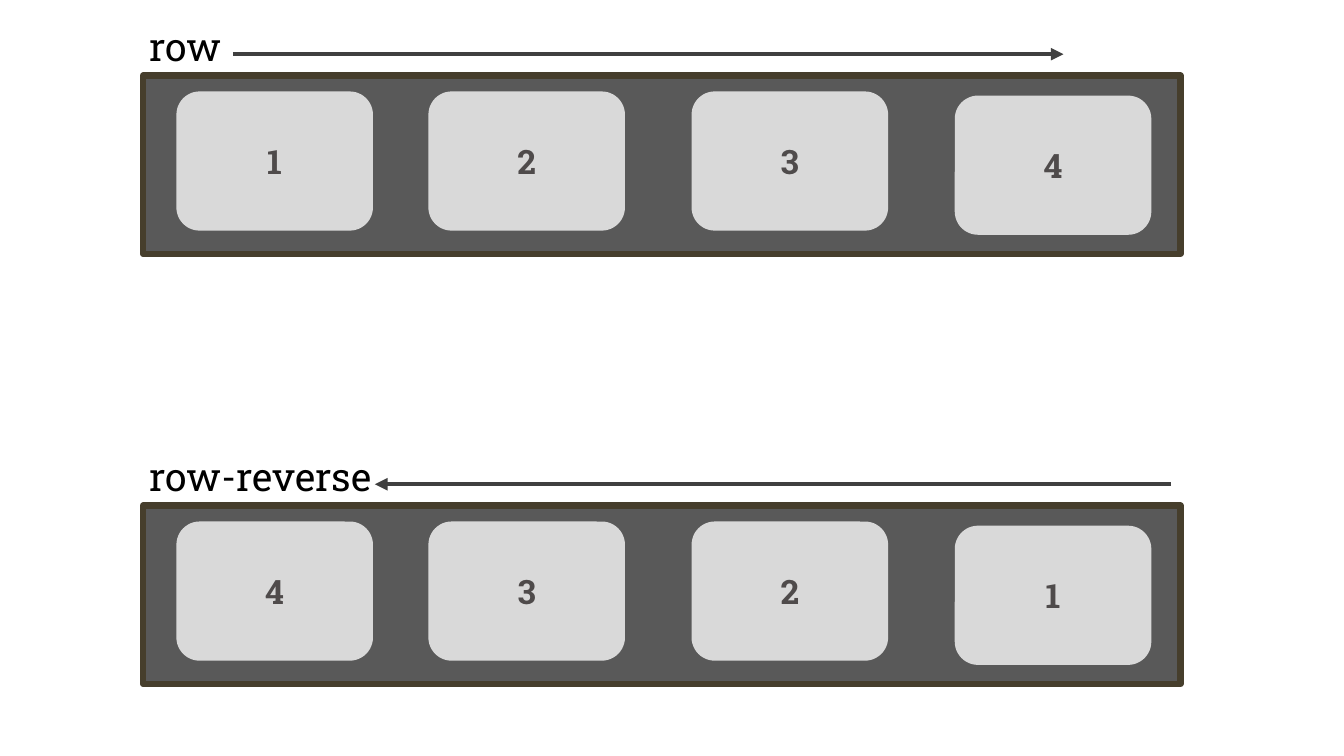
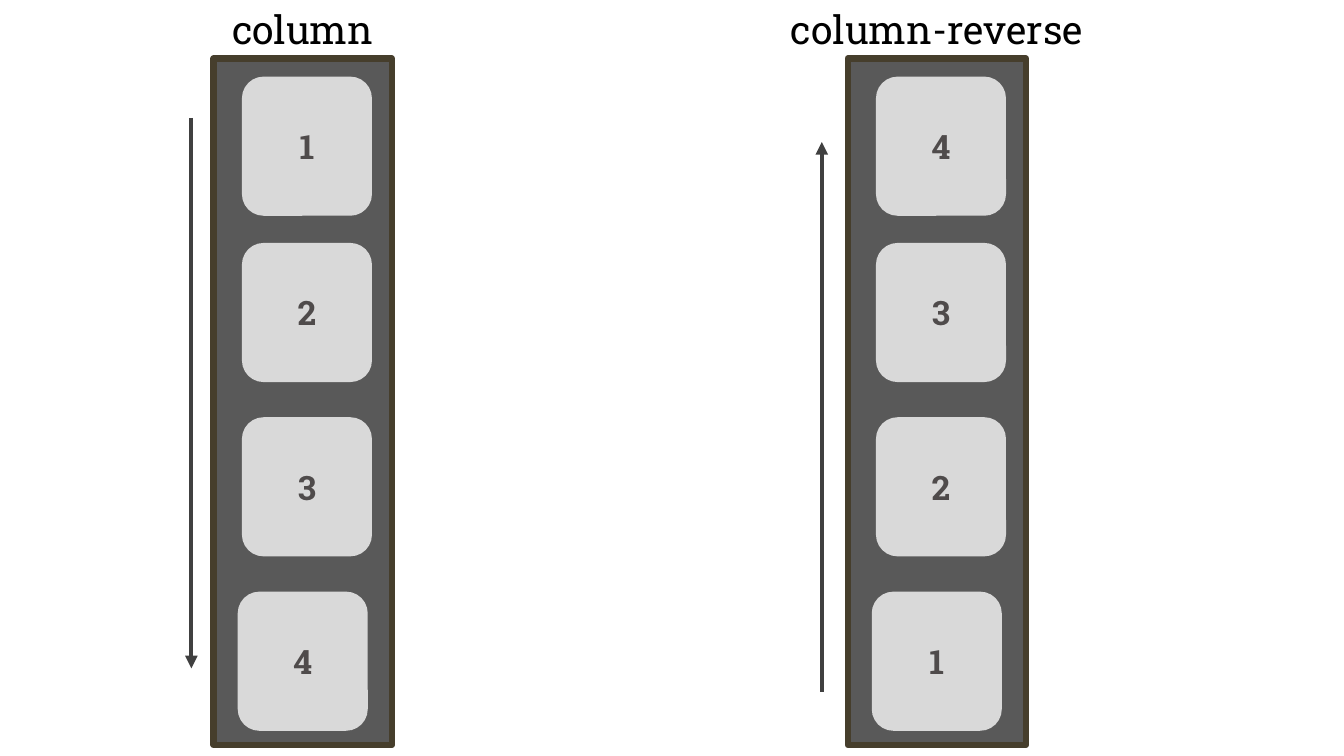
"""Build two slides that show the four flex directions."""
from lxml import etree
from pptx import Presentation
from pptx.dml.color import RGBColor
from pptx.enum import shapes as sh, text as tx
from pptx.oxml.ns import qn
from pptx.util import Pt

FONT = "Roboto Slab"
BAR, EDGE, ITEM, INK, ARROW, BLACK = (
    "595959", "463E2C", "D9D9D9", "4F4B4B", "404040", "000000")
NUM = {"size": Pt(24), "bold": True, "name": FONT}
HEAD = {"size": Pt(28), "name": FONT}
ROW_X = (126, 306, 494, 682)
COL_Y = (54.7, 173.5, 298, 422.6)
NUDGE = (0, 0, 0, 3)


def color(hex):
    return RGBColor.from_string(hex)


def write(shape, words, form, ink, align):
    frame = shape.text_frame
    frame.word_wrap = True
    par = frame.paragraphs[0]
    par.alignment = align
    run = par.add_run()
    run.text = words
    for key, value in form.items():
        setattr(run.font, key, value)
    run.font.color.rgb = color(ink)


def block(slide, kind, box, fill):
    shape = slide.shapes.add_shape(kind, *map(Pt, box))
    shape.shadow.inherit = False
    shape.fill.solid()
    shape.fill.fore_color.rgb = color(fill)
    return shape


def bar(slide, box):
    shape = block(slide, sh.MSO_SHAPE.RECTANGLE, box, BAR)
    shape.line.color.rgb = color(EDGE)
    shape.line.width = Pt(4.5)
    etree.SubElement(shape.line._get_or_add_ln(), qn("a:round"))


def item(slide, box, num):
    shape = block(slide, sh.MSO_SHAPE.ROUNDED_RECTANGLE, box, ITEM)
    shape.line.fill.background()
    shape.text_frame.vertical_anchor = tx.MSO_ANCHOR.MIDDLE
    write(shape, num, NUM, INK, tx.PP_ALIGN.CENTER)


def label(slide, box, words, align):
    shape = slide.shapes.add_textbox(*map(Pt, box))
    write(shape, words, HEAD, BLACK, align)


def arrow(slide, ends):
    link = slide.shapes.add_connector(
        sh.MSO_CONNECTOR.STRAIGHT, *map(Pt, ends))
    link.line.color.rgb = color(ARROW)
    link.line.width = Pt(3)
    etree.SubElement(link.line._get_or_add_ln(), qn("a:tailEnd"),
                     type="triangle")
    etree.SubElement(link._element.spPr, qn("a:effectLst"))


def row(slide, top, name, nums, start, end):
    bar(slide, (102.2, top, 741, 127.4))
    for x, drop, num in zip(ROW_X, NUDGE, nums):
        item(slide, (x, top + 11.3 + drop, 140.4, 99.4), num)
    arrow(slide, (start, top - 15.3, end, top - 15.3))
    label(slide, (100, top - 41.3, 246, 41), name, tx.PP_ALIGN.LEFT)


def column(slide, left, name, nums, gap, start, end):
    bar(slide, (left, 41.8, 127.4, 490.3))
    for y, shift, num in zip(COL_Y, NUDGE, nums):
        item(slide, (left + 20.2 - shift, y, 92.9, 99.4), num)
    arrow(slide, (left - gap, start, left - gap, end))
    label(slide, (left - 68.8, 0, 265, 41), name, tx.PP_ALIGN.CENTER)


def main():
    deck = Presentation()
    deck.slide_width, deck.slide_height = Pt(960), Pt(540)
    rows, cols = (deck.slides.add_slide(deck.slide_layouts[6])
                  for _ in range(2))
    row(rows, 54, "row", "1234", 166.3, 759.6)
    row(rows, 361.2, "row-reverse", "4321", 836.6, 267.8)
    column(cols, 152.6, "column", "1234", 15.9, 84.2, 477.4)
    column(cols, 605.5, "column-reverse", "4321", 18.5, 494, 101.5)
    deck.save("out.pptx")


if __name__ == "__main__":
    main()
